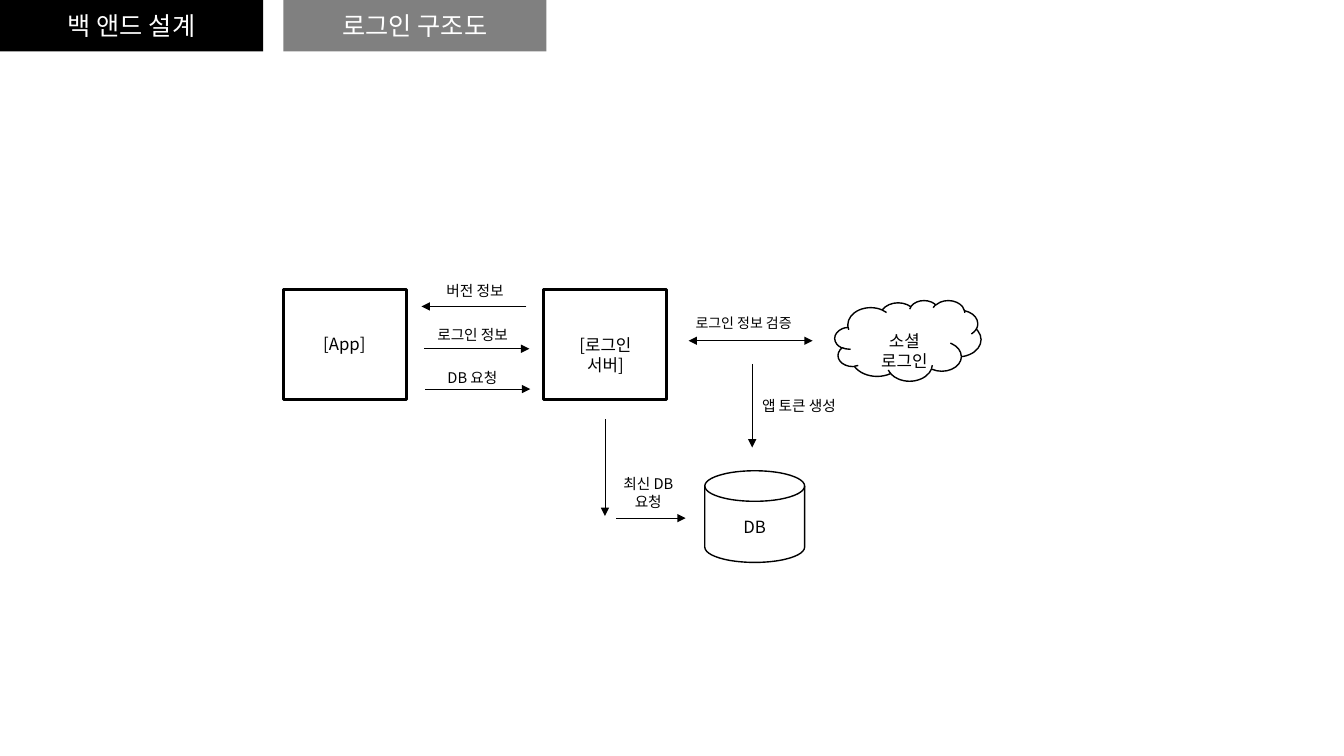
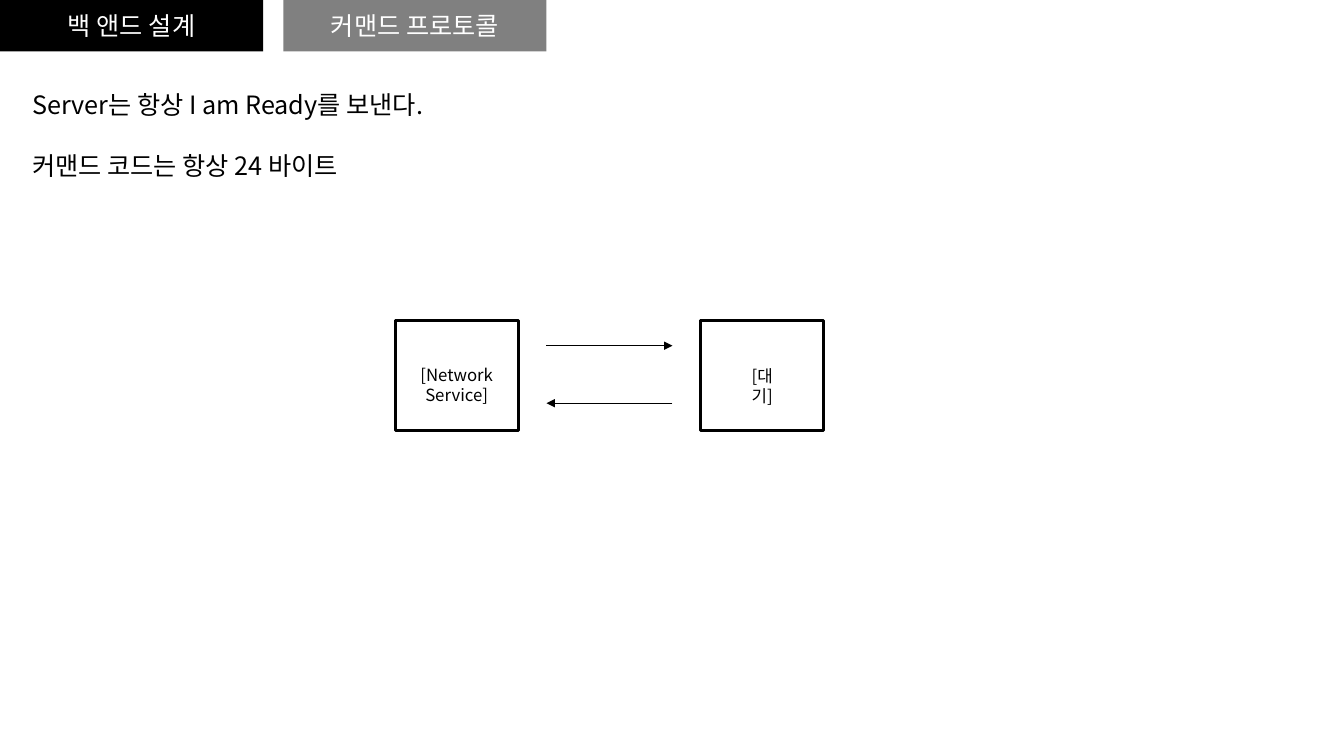
import pptx
import pptx.dml.color
import pptx.enum.shapes
import pptx.enum.text
import pptx.oxml.ns
import pptx.util
from lxml import etree

Inches = pptx.util.Inches
Pt = pptx.util.Pt
RGBColor = pptx.dml.color.RGBColor
SHAPE = pptx.enum.shapes.MSO_SHAPE
ALIGN = pptx.enum.text.PP_ALIGN
ANCHOR = pptx.enum.text.MSO_ANCHOR
qn = pptx.oxml.ns.qn

BLACK = RGBColor(0x00, 0x00, 0x00)
GREY = RGBColor(0x80, 0x80, 0x80)
WHITE = RGBColor(0xFF, 0xFF, 0xFF)
FONT = "Noto Sans CJK KR"
LINE_HEIGHT = 1.2
SECTION = "백 앤드 설계"
TAB_WIDTH, TAB_HEIGHT, TAB_GAP = 2.61, 0.51, 0.2
NODE_WIDTH, NODE_HEIGHT = 1.22, 1.09


def write(box, lines, size, color=BLACK, align=ALIGN.CENTER, gap=0):
    """Fill a box with one paragraph per line, gap points apart."""
    frame = box.text_frame
    frame.word_wrap = True
    for index, line in enumerate(lines):
        para = frame.add_paragraph() if index else frame.paragraphs[0]
        para.alignment = align
        para.line_spacing = Pt(size * LINE_HEIGHT)
        para.space_before = Pt(gap if index else 0)
        span = para.add_run()
        span.text = line
        span.font.size = Pt(size)
        span.font.name = FONT
        span.font.color.rgb = color
        latin = span.font._element.find(qn("a:latin"))
        east_asian = etree.Element(qn("a:ea"), typeface=FONT)
        latin.addnext(east_asian)


def add_text(page, left, top, width, height, lines, size, **style):
    """Add a wrapped text box."""
    box = page.shapes.add_textbox(Inches(left), Inches(top), Inches(width), Inches(height))
    write(box, lines, size, **style)


def add_outline(page, kind, left, top, width, height, weight):
    """Add a black outline shape without fill."""
    shape = page.shapes.add_shape(kind, Inches(left), Inches(top), Inches(width), Inches(height))
    shape.shadow.inherit = False
    shape.fill.background()
    shape.line.color.rgb = BLACK
    shape.line.width = Pt(weight)


def add_node(page, left, top):
    """Add a square system node."""
    add_outline(page, SHAPE.RECTANGLE, left, top, NODE_WIDTH, NODE_HEIGHT, 2)


def add_arrow(page, start, end, both_ways=False):
    """Add a thin arrow from start to end."""
    arrow = page.shapes.add_connector(
        pptx.enum.shapes.MSO_CONNECTOR.STRAIGHT, *map(Inches, start + end))
    arrow.line.color.rgb = BLACK
    arrow.line.width = Pt(0.5)
    line = arrow.line._get_or_add_ln()
    if both_ways:
        etree.SubElement(line, qn("a:headEnd"), type="triangle")
    etree.SubElement(line, qn("a:tailEnd"), type="triangle")
    etree.SubElement(arrow._element.spPr, qn("a:effectLst"))


def style_tab(tab, text, color):
    """Format a header tab."""
    tab.fill.solid()
    tab.fill.fore_color.rgb = color
    tab.line.fill.background()
    tab.text_frame.vertical_anchor = ANCHOR.MIDDLE
    write(tab, [text], 18, color=WHITE)


def add_page(deck, title):
    """Add a slide with the section tab and its title tab."""
    page = deck.slides.add_slide(deck.slide_layouts[5])
    section = page.shapes.add_shape(
        SHAPE.RECTANGLE, 0, 0, Inches(TAB_WIDTH), Inches(TAB_HEIGHT))
    section.shadow.inherit = False
    style_tab(section, SECTION, BLACK)
    heading = page.shapes.title
    heading.left, heading.top = Inches(TAB_WIDTH + TAB_GAP), 0
    heading.width, heading.height = Inches(TAB_WIDTH), Inches(TAB_HEIGHT)
    style_tab(heading, title, GREY)
    return page


def build_login(deck):
    """Build the login structure slide."""
    page = add_page(deck, "로그인 구조도")
    for left in (2.81, 5.39):
        add_node(page, left, 2.87)
    add_outline(page, SHAPE.CLOUD, 8.28, 2.98, 1.45, 0.8, 1)
    add_outline(page, SHAPE.FLOWCHART_MAGNETIC_DISK, 6.99, 4.67, 0.99, 0.91, 1)
    captions = [
        (3.07, 3.26, 0.69, 0.3, "[App]"),
        (5.48, 3.27, 1.05, 0.5, "[로그인 서버]"),
        (8.52, 3.23, 0.9, 0.5, "소셜 로그인"),
        (7.21, 5.08, 0.55, 0.3, "DB"),
    ]
    for *place, text in captions:
        add_text(page, *place, [text], 12)
    labels = [
        (4.33, 2.75, 0.84, "버전 정보", 10.5),
        (4.24, 3.18, 1.03, "로그인 정보", 10.5),
        (4.34, 3.61, 0.84, "DB 요청", 10.5),
        (6.8, 3.07, 1.28, "로그인 정보 검증", 10),
        (7.46, 3.89, 1.04, "앱 토큰 생성", 10.5),
    ]
    for left, top, width, text, size in labels:
        add_text(page, left, top, width, 0.28, [text], size, align=ALIGN.LEFT)
    add_text(page, 6.01, 4.66, 0.84, 0.45, ["최신 DB", "요청"], 10.5)
    arrows = [
        ((5.22, 3.04), (4.18, 3.04)),
        ((4.21, 3.46), (5.25, 3.46)),
        ((4.22, 3.86), (5.26, 3.86)),
        ((7.46, 3.61), (7.46, 4.44)),
        ((6, 4.16), (6, 5.12)),
        ((6.11, 5.14), (6.8, 5.14)),
    ]
    for start, end in arrows:
        add_arrow(page, start, end)
    add_arrow(page, (6.83, 3.38), (8.06, 3.38), both_ways=True)


def build_protocol(deck):
    """Build the command protocol slide."""
    page = add_page(deck, "커맨드 프로토콜")
    rules = ["Server는 항상 I am Ready를 보낸다.", "커맨드 코드는 항상 24 바이트"]
    add_text(page, 0.22, 0.84, 4.8, 1.01, rules, 18,
             align=ALIGN.LEFT, gap=18 * LINE_HEIGHT)
    for left in (3.92, 6.95):
        add_node(page, left, 3.18)
    add_text(page, 3.93, 3.57, 1.2, 0.5, ["[Network Service]"], 12)
    add_text(page, 7.26, 3.58, 0.6, 0.5, ["[대기]"], 12)
    add_arrow(page, (5.42, 3.43), (6.67, 3.43))
    add_arrow(page, (6.67, 4), (5.42, 4))


def main():
    """Build and save the deck."""
    deck = pptx.Presentation()
    deck.slide_width, deck.slide_height = Inches(13.33), Inches(7.5)
    build_login(deck)
    build_protocol(deck)
    deck.save("out.pptx")


if __name__ == "__main__":
    main()
